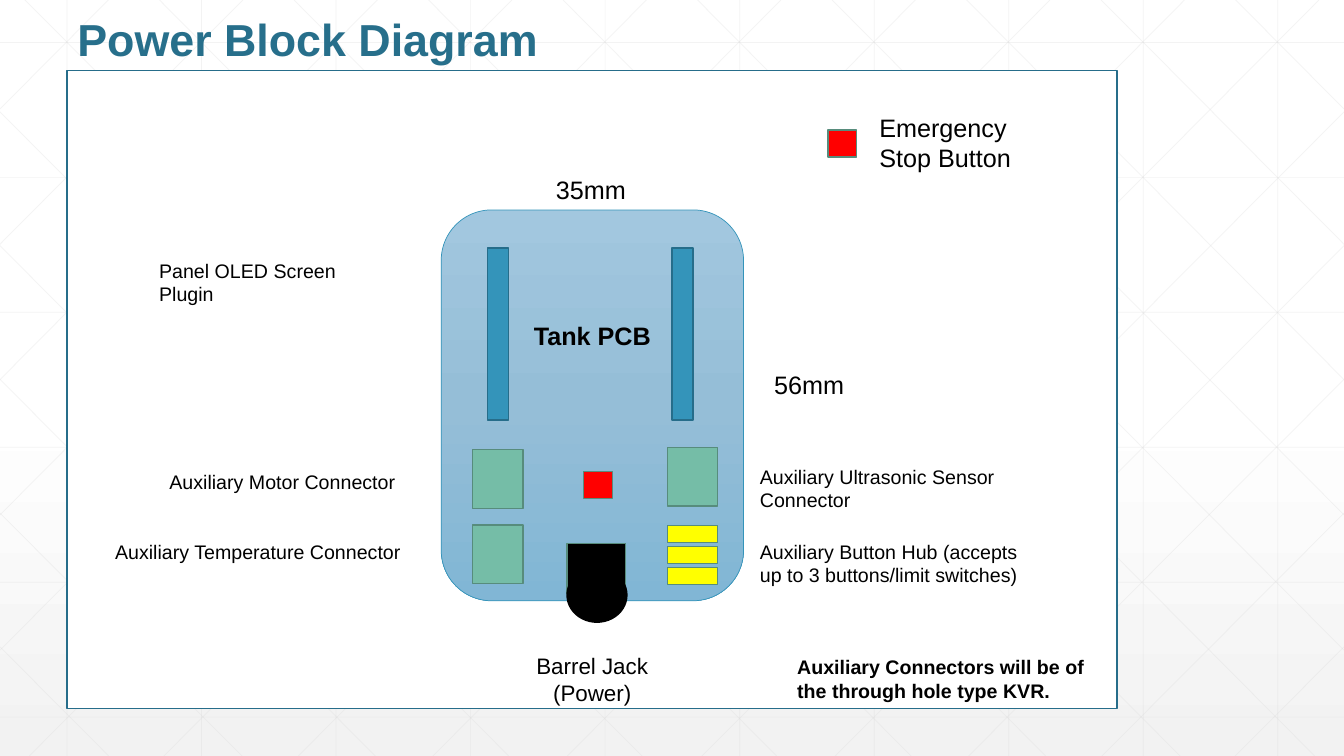
from lxml.etree import SubElement
from pptx import Presentation
from pptx.dml.color import RGBColor
from pptx.enum.shapes import MSO_CONNECTOR, MSO_SHAPE
from pptx.enum.text import MSO_ANCHOR, PP_ALIGN
from pptx.oxml.ns import qn
from pptx.util import Cm, Pt

WIDTH, HEIGHT = 33.87, 19.05
WHITE = RGBColor(0xFF, 0xFF, 0xFF)
BLACK = RGBColor(0, 0, 0)
RED = RGBColor(0xFF, 0, 0)
YELLOW = RGBColor(0xFF, 0xFF, 0)
BLUE = RGBColor(0x34, 0x94, 0xBA)
DARK_BLUE = RGBColor(0x26, 0x6D, 0x8A)
TITLE_BLUE = RGBColor(0x27, 0x6F, 0x8B)
GREEN = RGBColor(0x75, 0xBD, 0xA7)
DARK_GREEN = RGBColor(0x57, 0x8C, 0x7C)
GRID_GREY = RGBColor(0xD9, 0xD9, 0xD9)

PAGE_STOPS = [(0, "FFFFFF"), (53, "FFFFFF"), (100, "F2F2F2")]
BOARD_STOPS = [(0, "A2C7DF"), (50, "95BED7"), (100, "81B6D5")]

FRAME = (1.69, 1.78, 26.46, 16.08)
BOARD = (11.12, 5.29, 7.62, 9.85)
BOARD_TEXT_TOP = 2.41

CONNECTOR_SIZE = (1.27, 1.48)
BUTTON_SIZE = (0.72, 0.68)
SCREEN_PINS = [(x, 6.25, 0.53, 4.34) for x in (12.28, 16.94)]
CONNECTORS = [(x, y, *CONNECTOR_SIZE) for x, y in ((11.91, 11.33), (11.91, 13.23), (16.82, 11.27))]
STOP_BUTTONS = [(x, y, *BUTTON_SIZE) for x, y in ((14.71, 11.88), (20.87, 3.28))]
BUTTON_HUB = [(16.82, 13.24 + 0.53 * row, 1.27, 0.43) for row in range(3)]
JACK_BODY = (14.29, 13.69, 1.48, 1.27)
JACK_END = (14.29, 14.31, 1.51, 1.37)

TITLE = ("Power Block Diagram", (1.7, 0.28, 30.48, 1.57))
LABELS = [
    ("56mm", (19.26, 9.18, 2.34, 1.02), 18),
    ("35mm", (13.76, 4.26, 2.34, 1.02), 18),
    ("Auxiliary Motor Connector", (4.02, 11.72, 6.45, 0.86), 14),
    ("Auxiliary Temperature Connector", (2.65, 13.48, 7.92, 0.86), 14),
    ("Auxiliary Ultrasonic Sensor Connector", (18.9, 11.58, 8.84, 0.86), 14),
    ("Auxiliary Button Hub (accepts up to 3 buttons/limit switches)", (18.9, 13.47, 7.47, 1.45), 14),
    ("Panel OLED Screen Plugin", (3.76, 6.39, 6.45, 0.86), 14),
    ("Emergency Stop Button", (21.91, 2.71, 4.88, 1.8), 18),
]
JACK_LABEL = ("Barrel Jack (Power)", (13.12, 16.3, 3.61, 1.63), 16)
NOTE = ("Auxiliary Connectors will be of the through hole type KVR.", (19.84, 16.38, 7.92, 1.45), 14)

deck = Presentation()
deck.slide_width, deck.slide_height = Cm(WIDTH), Cm(HEIGHT)
page = deck.slides.add_slide(deck.slide_layouts[6])


def set_gradient(fill, element, stops):
    fill.gradient()
    fill.gradient_angle = 270
    stop_list = next(element.iter(qn("a:gsLst")))
    for stop in list(stop_list):
        stop_list.remove(stop)
    for percent, colour in stops:
        stop = SubElement(stop_list, qn("a:gs"), pos=str(percent * 1000))
        SubElement(stop, qn("a:srgbClr"), val=colour)


def add_grid_line(*ends):
    line = page.shapes.add_connector(MSO_CONNECTOR.STRAIGHT, *map(Cm, ends))
    line.line.color.rgb = GRID_GREY
    line.line.width = Pt(0.5)
    colour = next(line._element.spPr.iter(qn("a:srgbClr")))
    SubElement(colour, qn("a:alpha"), val="30000")
    SubElement(line._element.spPr, qn("a:effectLst"))


def add_part(place, fill, outline, kind=MSO_SHAPE.RECTANGLE, weight=1):
    part = page.shapes.add_shape(kind, *map(Cm, place))
    part.shadow.inherit = False
    if fill:
        part.fill.solid()
        part.fill.fore_color.rgb = fill
    part.line.color.rgb = outline
    part.line.width = Pt(weight)
    return part


def write(frame, text, size, bold=False, align=PP_ALIGN.LEFT, colour=BLACK):
    frame.word_wrap = True
    para = frame.paragraphs[0]
    para.alignment = align
    span = para.add_run()
    span.text = text
    span.font.name = "Arial"
    span.font.size = Pt(size)
    span.font.bold = bold
    span.font.color.rgb = colour


def add_label(text, place, size, **style):
    box = page.shapes.add_textbox(*map(Cm, place))
    write(box.text_frame, text, size, **style)
    return box


set_gradient(page.background.fill, page._element, PAGE_STOPS)

for column in range(10):
    x = 1.69 + 3.39 * column
    add_grid_line(x, 0, x, HEIGHT)
for row in range(6):
    y = 1.07 + 3.4 * row
    add_grid_line(0, y, WIDTH, y)

diagonals = []
for step in range(10):
    start = 0.63 + 3.39 * step
    end = min(start + 18.94, WIDTH)
    diagonals.append((start, 0, end, (end - start) * HEIGHT / 18.94))
for step in range(5):
    diagonals.append((16.18 - 3.36 * step, HEIGHT, 0, 2.82 + 3.37 * step))
for x1, y1, x2, y2 in diagonals:
    add_grid_line(x1, y1, x2, y2)
    add_grid_line(WIDTH - x1, y1, WIDTH - x2, y2)

add_part(FRAME, WHITE, DARK_BLUE)
board = add_part(BOARD, None, BLUE, MSO_SHAPE.ROUNDED_RECTANGLE, 0.5)
set_gradient(board.fill, board._element, BOARD_STOPS)
board.text_frame.vertical_anchor = MSO_ANCHOR.TOP
board.text_frame.margin_top = Cm(BOARD_TEXT_TOP)
write(board.text_frame, "Tank PCB", 18, bold=True, align=PP_ALIGN.CENTER)

title = add_label(*TITLE, 32, bold=True, colour=TITLE_BLUE)
title.text_frame.vertical_anchor = MSO_ANCHOR.MIDDLE
title.text_frame.paragraphs[0].line_spacing = 0.9

for places, fill, outline in (
    (SCREEN_PINS, BLUE, DARK_BLUE),
    (CONNECTORS, GREEN, DARK_GREEN),
    ([JACK_BODY], BLACK, DARK_GREEN),
    (STOP_BUTTONS, RED, DARK_GREEN),
    (BUTTON_HUB, YELLOW, DARK_GREEN),
):
    for place in places:
        add_part(place, fill, outline)
add_part(JACK_END, BLACK, BLACK, MSO_SHAPE.OVAL)

for label in LABELS:
    add_label(*label)
add_label(*JACK_LABEL, align=PP_ALIGN.CENTER)
add_label(*NOTE, bold=True)

deck.save("out.pptx")
